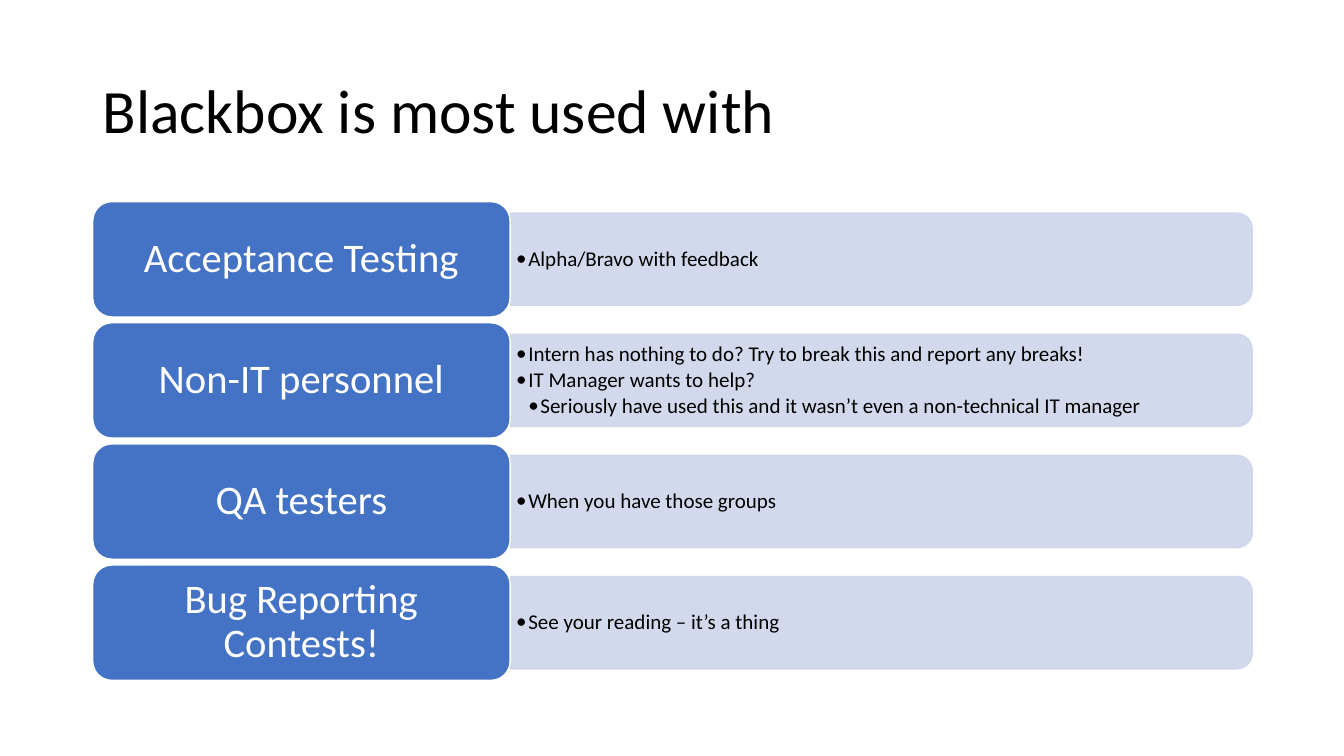
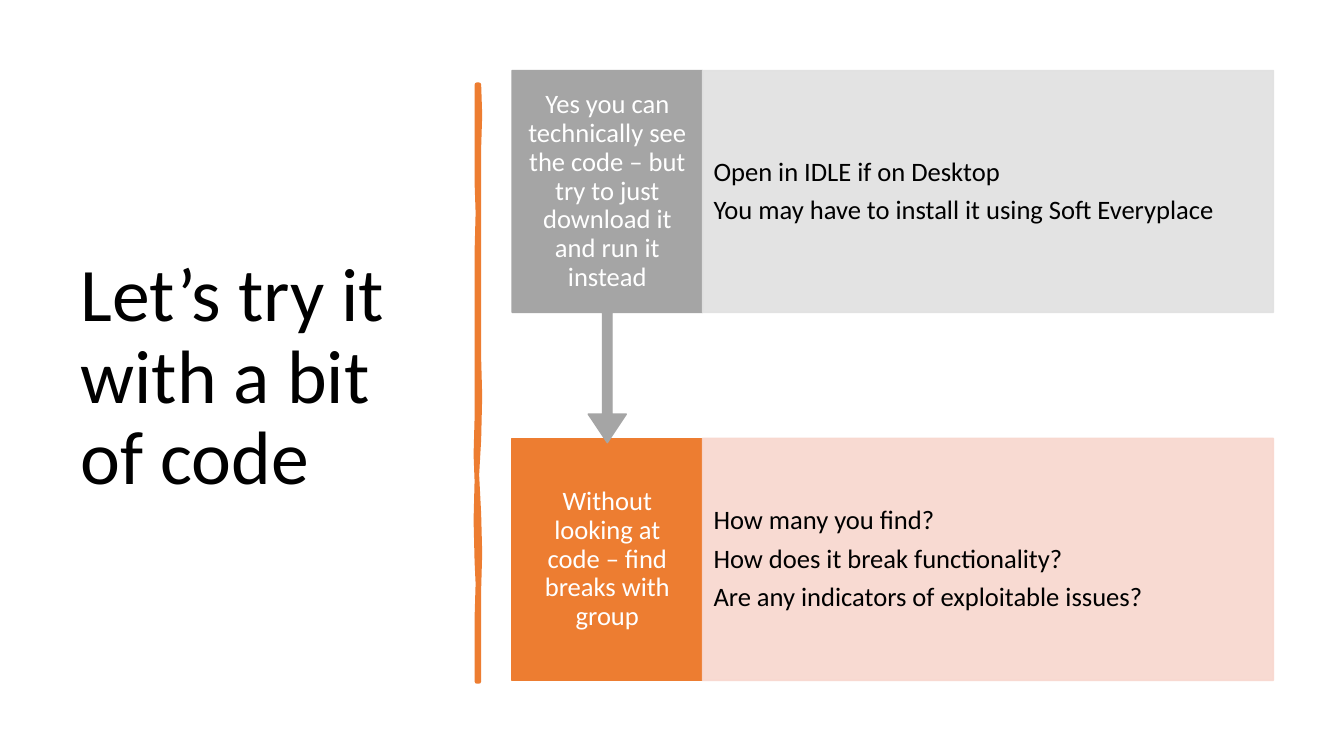
from lxml.etree import SubElement
from pptx import Presentation
from pptx.dml.color import RGBColor
from pptx.enum.shapes import MSO_SHAPE
from pptx.enum.text import MSO_ANCHOR, PP_ALIGN
from pptx.oxml.ns import qn
from pptx.util import Inches, Pt

BLACK = RGBColor(0x00, 0x00, 0x00)
WHITE = RGBColor(0xFF, 0xFF, 0xFF)
BLUE = RGBColor(0x44, 0x72, 0xC4)
PALE_BLUE = RGBColor(0xCF, 0xD5, 0xEA)
ORANGE = RGBColor(0xED, 0x7D, 0x31)
PALE_ORANGE = RGBColor(0xF8, 0xD7, 0xCE)
GREY = RGBColor(0xA5, 0xA5, 0xA5)
PALE_GREY = RGBColor(0xE1, 0xE1, 0xE1)
FONT = "Calibri"
BULLET_INDENT = 0.12

TITLE = {"size": 44, "color": BLACK, "align": PP_ALIGN.LEFT, "after": 0, "insets": (0.1, 0.05)}
SIDE_TITLE = {**TITLE, "size": 54}
TILE = {"size": 29, "color": WHITE, "align": PP_ALIGN.CENTER, "after": 0.35, "insets": (0.12, 0.06)}
DETAIL = {"size": 15, "color": BLACK, "align": PP_ALIGN.LEFT, "after": 0.15, "insets": (0.06, 0.03)}
STEP = {"size": 19, "color": WHITE, "align": PP_ALIGN.CENTER, "after": 0.35, "insets": (0.13, 0.15)}
STEP_DETAIL = {**STEP, "color": BLACK, "align": PP_ALIGN.LEFT, "insets": (0.11, 0.26)}

USES = [
    ("Acceptance Testing", [(1, "Alpha/Bravo with feedback")]),
    ("Non-IT personnel", [
        (1, "Intern has nothing to do? Try to break this and report any breaks!"),
        (1, "IT Manager wants to help?"),
        (2, "Seriously have used this and it wasn’t even a non-technical IT manager"),
    ]),
    ("QA testers", [(1, "When you have those groups")]),
    ("Bug Reporting Contests!", [(1, "See your reading – it’s a thing")]),
]

DOWNLOAD = "Yes you can technically see the code – but try to just download it and run it instead"
DOWNLOAD_DETAILS = ["Open in IDLE if on Desktop", "You may have to install it using Soft Everyplace"]
FIND = "Without looking at code – find breaks with group"
FIND_DETAILS = [
    "How many you find?",
    "How does it break functionality?",
    "Are any indicators of exploitable issues?",
]

STROKE_OUTLINE = [
    (4.75, 0.84), (4.76, 1.14), (4.75, 1.46), (4.75, 1.85), (4.75, 2.26), (4.75, 2.6),
    (4.75, 2.94), (4.75, 3.31), (4.75, 3.56), (4.76, 3.93), (4.75, 4.36), (4.73, 4.71),
    (4.75, 5.1), (4.76, 5.49), (4.75, 5.84), (4.75, 6.27), (4.75, 6.76),
    (4.73, 6.76), (4.73, 6.45), (4.73, 6.13), (4.74, 5.79), (4.73, 5.57), (4.72, 5.16),
    (4.73, 4.77), (4.72, 4.51), (4.73, 4.15), (4.73, 3.78), (4.73, 3.35), (4.73, 2.9),
    (4.73, 2.5), (4.74, 2.11), (4.73, 1.81), (4.73, 1.33), (4.73, 0.84),
]


def set_attributes(target, values):
    """Set each named attribute of the target."""
    for name, value in values.items():
        setattr(target, name, value)


def add_bullet(paragraph, level):
    """Give a paragraph a hanging bullet at its level."""
    properties = paragraph._p.get_or_add_pPr()
    properties.set("marL", str(Inches(BULLET_INDENT * level)))
    properties.set("indent", str(Inches(-BULLET_INDENT)))
    SubElement(properties, qn("a:buFont"), typeface=FONT)
    SubElement(properties, qn("a:buChar"), char="•")
    paragraph.level = level


def write_text(frame, lines, style):
    """Write (level, text) lines in one style; level 0 has no bullet."""
    side, end = (Inches(inset) for inset in style["insets"])
    set_attributes(frame, {
        "word_wrap": True, "vertical_anchor": MSO_ANCHOR.MIDDLE,
        "margin_left": side, "margin_right": side, "margin_top": end, "margin_bottom": end,
    })
    for index, (level, text) in enumerate(lines):
        paragraph = frame.add_paragraph() if index else frame.paragraphs[0]
        if level:
            add_bullet(paragraph, level)
        set_attributes(paragraph, {
            "alignment": style["align"], "line_spacing": 0.9,
            "space_before": Pt(0), "space_after": Pt(style["size"] * style["after"]),
        })
        run = paragraph.add_run()
        run.text = text
        set_attributes(run.font, {"name": FONT, "size": Pt(style["size"])})
        run.font.color.rgb = style["color"]


def add_text(slide, box, lines, style):
    """Add a text box in a (left, top, width, height) box."""
    label = slide.shapes.add_textbox(*map(Inches, box))
    write_text(label.text_frame, lines, style)


def paint(shape, fill, outline, weight=1, alpha=None):
    """Colour a shape flatly, with an optional opacity in percent."""
    shape.shadow.inherit = False
    shape.fill.solid()
    shape.fill.fore_color.rgb = fill
    shape.line.color.rgb = outline
    shape.line.width = Pt(weight)
    if alpha:
        for colour in shape._element.spPr.iter(qn("a:srgbClr")):
            SubElement(colour, qn("a:alpha"), val=str(alpha * 1000))


def add_panel(slide, preset, box, fill, outline, alpha=None):
    """Add a painted preset shape."""
    panel = slide.shapes.add_shape(preset, *map(Inches, box))
    paint(panel, fill, outline, alpha=alpha)
    return panel


def add_use_rows(slide, box):
    """Stack a tile and its detail band for each use."""
    left, top, width, height = box
    tile_height = height / (len(USES) + 0.05 * (len(USES) - 1))
    tile_width = width * 0.36
    band_left, band_width, band_height = left + tile_width, width - tile_width, tile_height * 0.8
    for row, (use, details) in enumerate(USES):
        tile_top = top + row * tile_height * 1.05
        middle = tile_top + tile_height / 2
        upright = (band_left + (band_width - band_height) / 2, middle - band_width / 2,
                   band_height, band_width)
        band = add_panel(slide, MSO_SHAPE.ROUND_2_SAME_RECTANGLE, upright, PALE_BLUE, PALE_BLUE, 90)
        band.rotation = 90
        add_text(slide, (band_left, middle - band_height * 0.45, band_width - 0.04, band_height * 0.9),
                 details, DETAIL)
        tile = add_panel(slide, MSO_SHAPE.ROUNDED_RECTANGLE,
                         (left, tile_top, tile_width, tile_height), BLUE, WHITE)
        write_text(tile.text_frame, [(0, use)], TILE)


def add_brush_stroke(slide):
    """Draw the uneven vertical divider."""
    start, *rest = [tuple(map(Inches, point)) for point in STROKE_OUTLINE]
    builder = slide.shapes.build_freeform(*start)
    builder.add_line_segments(rest, close=True)
    paint(builder.convert_to_shape(), ORANGE, ORANGE, 3.25)


def add_step(slide, box, preset, step, details, colour, pale, arrow_share=0):
    """Place a step with its details; an arrow may extend below it."""
    left, top, width, height = box
    step_width = width / 4
    heading = add_panel(slide, preset, (left, top, step_width, height / (1 - arrow_share)), colour, colour)
    if arrow_share:
        for index, value in enumerate((0.05, 0.1, 0.15, 1 - arrow_share)):
            heading.adjustments[index] = value
    write_text(heading.text_frame, [(0, step)], STEP)
    panel = add_panel(slide, MSO_SHAPE.RECTANGLE,
                      (left + step_width, top, width - step_width, height), pale, pale, 90)
    write_text(panel.text_frame, [(0, detail) for detail in details], STEP_DETAIL)


def add_steps(slide, box):
    """Place the two steps at the top and bottom of the box."""
    left, top, width, height = box
    step_height = 2.4
    add_step(slide, (left, top + height - step_height, width, step_height),
             MSO_SHAPE.RECTANGLE, FIND, FIND_DETAILS, ORANGE, PALE_ORANGE)
    add_step(slide, (left, top, width, step_height), MSO_SHAPE.DOWN_ARROW_CALLOUT,
             DOWNLOAD, DOWNLOAD_DETAILS, GREY, PALE_GREY, arrow_share=0.35)


def build_uses_slide(slide):
    """Build the slide on where blackbox testing is used."""
    add_text(slide, (0.92, 0.4, 11.5, 1.45), [(0, "Blackbox is most used with")], TITLE)
    add_use_rows(slide, (0.92, 2, 11.5, 4.75))


def build_exercise_slide(slide):
    """Build the slide with the code exercise."""
    add_text(slide, (0.7, 0.7, 3.74, 6.11), [(0, "Let’s try it with a bit of code")], SIDE_TITLE)
    add_brush_stroke(slide)
    add_steps(slide, (5.08, 0.7, 7.55, 6.05))


def main():
    """Build and save the presentation."""
    deck = Presentation()
    set_attributes(deck, {"slide_width": Inches(13.33), "slide_height": Inches(7.5)})
    for build in (build_uses_slide, build_exercise_slide):
        build(deck.slides.add_slide(deck.slide_layouts[6]))
    deck.save("out.pptx")


if __name__ == "__main__":
    main()
